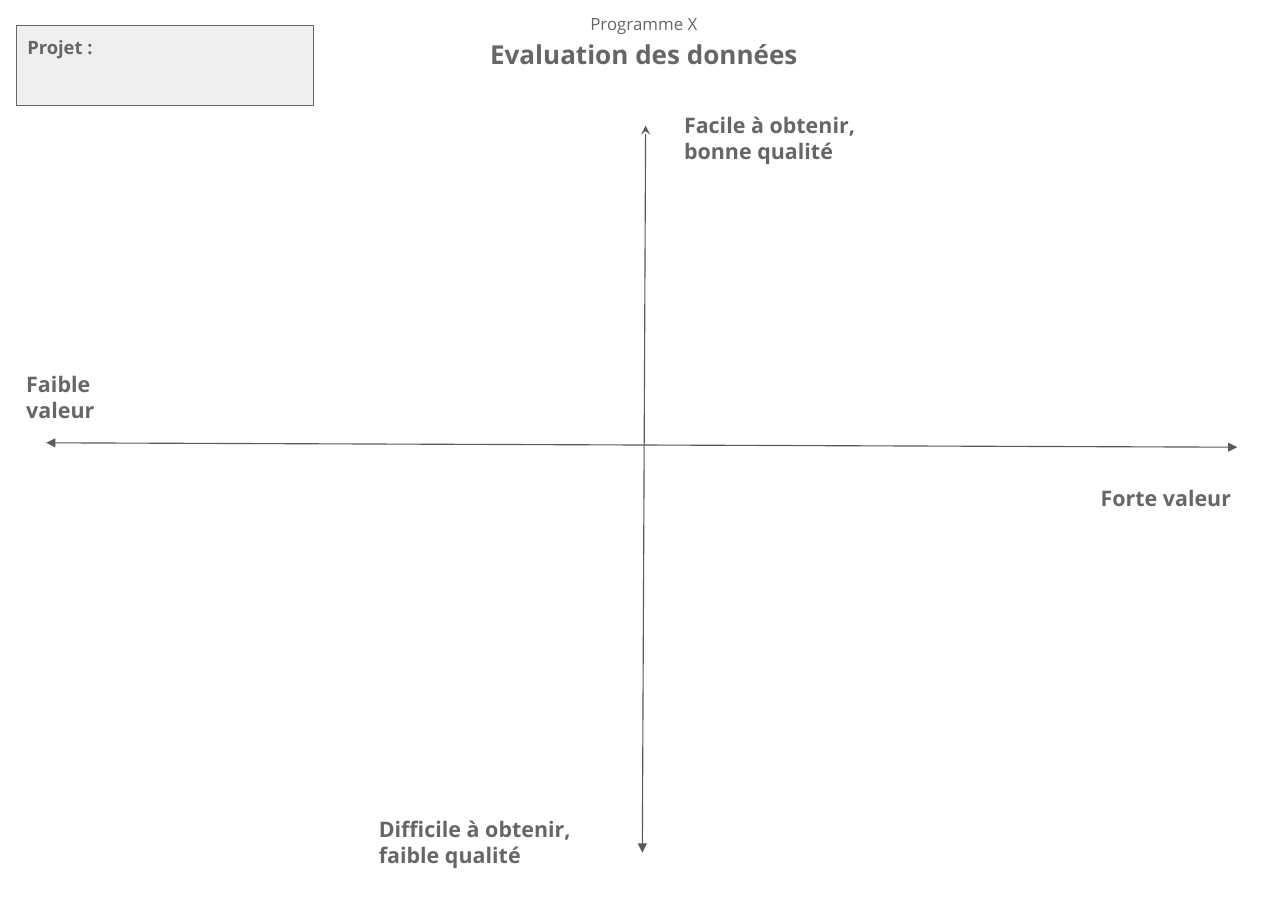
import pptx
import pptx.dml.color
import pptx.enum.shapes
import pptx.enum.text
import pptx.oxml.ns
import pptx.util
from lxml import etree

Inches = pptx.util.Inches
Pt = pptx.util.Pt

COLORS = {"text": "666666", "axis": "595959", "panel": "EFEFEF"}
FONT = "Open Sans"

AXES = [
    ((0.42, 4.02), (11.23, 4.06), "triangle", "triangle"),
    ((5.86, 1.14), (5.83, 7.74), "stealth", "triangle"),
]
AXIS_LABELS = [
    ("Faible valeur", (0.14, 3.27, 1.33, 0.54)),
    ("Forte valeur", (9.89, 4.3, 1.58, 0.73)),
    ("Difficile à obtenir, faible qualité", (3.34, 7.31, 2.04, 0.67)),
    ("Facile à obtenir, bonne qualité", (6.11, 0.92, 1.89, 0.67)),
]


def color(name):
    return pptx.dml.color.RGBColor.from_string(COLORS[name])


def prepare_frame(shape):
    """Set wrapping, anchor and margins; return the first paragraph."""
    frame = shape.text_frame
    frame.word_wrap = True
    frame.vertical_anchor = pptx.enum.text.MSO_ANCHOR.TOP
    frame.margin_left = frame.margin_right = Inches(0.1)
    frame.margin_top = frame.margin_bottom = Inches(0.1)
    para = frame.paragraphs[0]
    para.alignment = pptx.enum.text.PP_ALIGN.LEFT
    return para


def add_span(para, text, size, bold=True):
    span = para.add_run()
    span.text = text
    span.font.name = FONT
    span.font.size = Pt(size)
    span.font.bold = bold
    span.font.color.rgb = color("text")


def add_heading(page, box):
    para = prepare_frame(page.shapes.add_textbox(*map(Inches, box)))
    para.alignment = pptx.enum.text.PP_ALIGN.CENTER
    para.line_spacing = 1.15
    add_span(para, "Programme X", 11, bold=False)
    para.add_line_break()
    add_span(para, "Evaluation des données", 17)


def add_axis(page, start, end, head, tail):
    axis = page.shapes.add_connector(
        pptx.enum.shapes.MSO_CONNECTOR.STRAIGHT, *map(Inches, start + end)
    )
    axis.line.color.rgb = color("axis")
    axis.line.width = Pt(0.75)
    outline = axis.line._get_or_add_ln()
    for tag, kind in (("a:headEnd", head), ("a:tailEnd", tail)):
        etree.SubElement(outline, pptx.oxml.ns.qn(tag), type=kind, w="med", len="med")
    etree.SubElement(axis._element.spPr, pptx.oxml.ns.qn("a:effectLst"))


def add_axis_label(page, text, box):
    para = prepare_frame(page.shapes.add_textbox(*map(Inches, box)))
    add_span(para, text, 14)


def add_project_panel(page, box):
    panel = page.shapes.add_shape(
        pptx.enum.shapes.MSO_SHAPE.RECTANGLE, *map(Inches, box)
    )
    panel.shadow.inherit = False
    panel.fill.solid()
    panel.fill.fore_color.rgb = color("panel")
    panel.line.color.rgb = color("text")
    panel.line.width = Pt(0.75)
    add_span(prepare_frame(panel), "Projet :", 12)


def main():
    deck = pptx.Presentation()
    deck.slide_width = Inches(11.69)
    deck.slide_height = Inches(8.27)
    page = deck.slides.add_slide(deck.slide_layouts[6])
    add_heading(page, (2.21, 0, 7.27, 0.54))
    for axis in AXES:
        add_axis(page, *axis)
    for text, box in AXIS_LABELS:
        add_axis_label(page, text, box)
    add_project_panel(page, (0.15, 0.23, 2.7, 0.73))
    deck.save("out.pptx")


if __name__ == "__main__":
    main()
